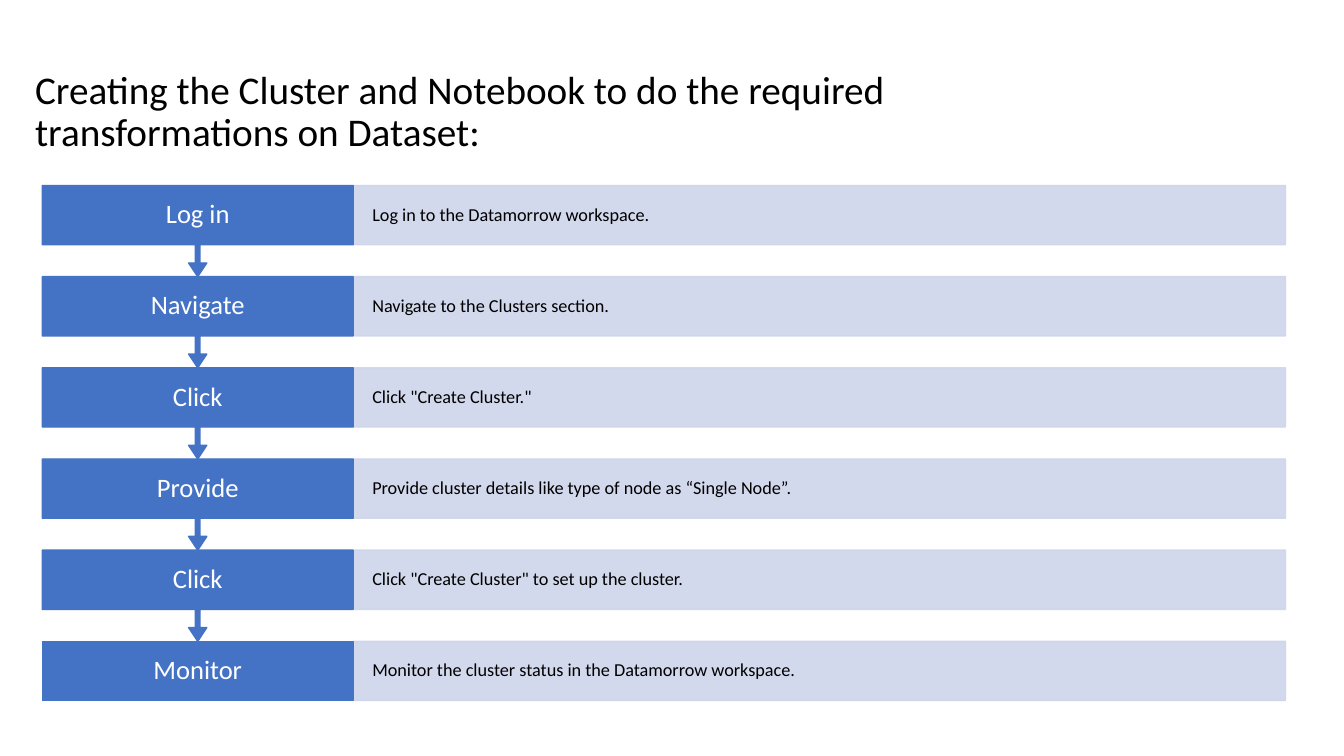
"""Build a slide with a vertical flow of cluster setup steps."""
from lxml.etree import SubElement
from pptx import Presentation
from pptx.dml.color import RGBColor
from pptx.enum.shapes import MSO_SHAPE
from pptx.enum.text import MSO_ANCHOR, PP_ALIGN
from pptx.oxml.ns import qn
from pptx.util import Inches, Pt

BLUE = RGBColor(0x44, 0x72, 0xC4)
PALE = RGBColor(0xCF, 0xD5, 0xEA)
WHITE = RGBColor(0xFF, 0xFF, 0xFF)
BLACK = RGBColor(0x00, 0x00, 0x00)
FONT = "Calibri"

TITLE = "Creating the Cluster and Notebook to do the required transformations on Dataset:"
STEPS = [
    ("Log in", "Log in to the Datamorrow workspace."),
    ("Navigate", "Navigate to the Clusters section."),
    ("Click", 'Click "Create Cluster."'),
    ("Provide", "Provide cluster details like type of node as “Single Node”."),
    ("Click", 'Click "Create Cluster" to set up the cluster.'),
    ("Monitor", "Monitor the cluster status in the Datamorrow workspace."),
]
LABEL_SHARE = 0.25
BODY_SHARE = 0.65
CALLOUT_ADJUSTMENTS = (0.05, 0.1, 0.15, BODY_SHARE)


def write(shape, text, size, color, align, anchor, insets):
    """Put one styled paragraph in a shape, with insets left, top, right, bottom."""
    frame = shape.text_frame
    frame.word_wrap = True
    frame.vertical_anchor = anchor
    (frame.margin_left, frame.margin_top,
     frame.margin_right, frame.margin_bottom) = map(Inches, insets)
    paragraph = frame.paragraphs[0]
    paragraph.text = text
    paragraph.alignment = align
    paragraph.line_spacing = 0.9
    paragraph.font.name = FONT
    paragraph.font.size = Pt(size)
    paragraph.font.color.rgb = color


def paint(shape, color, opacity=100):
    """Give a shape the same colour and opacity for its fill and line."""
    shape.shadow.inherit = False
    shape.fill.solid()
    shape.fill.fore_color.rgb = color
    shape.line.color.rgb = color
    shape.line.width = Pt(1)
    if opacity < 100:
        for rgb in shape._element.spPr.iter(qn("a:srgbClr")):
            SubElement(rgb, qn("a:alpha")).set("val", str(opacity * 1000))


def add_title(slide, left, top, width, height):
    """Place the heading, bottom-aligned in its box."""
    heading = slide.shapes.add_textbox(*map(Inches, (left, top, width, height)))
    write(heading, TITLE, 28, BLACK, PP_ALIGN.LEFT, MSO_ANCHOR.BOTTOM,
          (0.1, 0.05, 0.1, 0.05))


def add_step(slide, step, left, top, width, pitch, is_last):
    """Place one step: a label that points down to the next, and its description."""
    label_text, description_text = step
    label_width = width * LABEL_SHARE
    body_height = pitch * BODY_SHARE
    description = slide.shapes.add_shape(
        MSO_SHAPE.RECTANGLE, Inches(left + label_width), Inches(top),
        Inches(width - label_width), Inches(body_height))
    paint(description, PALE, 90)
    write(description, description_text, 13, BLACK, PP_ALIGN.LEFT,
          MSO_ANCHOR.MIDDLE, (0.19, 0.18, 0.19, 0.18))

    label = slide.shapes.add_shape(
        MSO_SHAPE.RECTANGLE if is_last else MSO_SHAPE.DOWN_ARROW_CALLOUT,
        Inches(left), Inches(top), Inches(label_width),
        Inches(body_height if is_last else pitch))
    if not is_last:
        for index, value in enumerate(CALLOUT_ADJUSTMENTS):
            label.adjustments[index] = value
    paint(label, BLUE)
    write(label, label_text, 19, WHITE, PP_ALIGN.CENTER,
          MSO_ANCHOR.MIDDLE, (0.22, 0.15, 0.22, 0.15))


def add_flow(slide, left, top, width, height):
    """Stack the steps at an equal pitch that fills the box."""
    last = len(STEPS) - 1
    pitch = height / (last + BODY_SHARE)
    for row, step in enumerate(STEPS):
        add_step(slide, step, left, top + row * pitch, width, pitch, row == last)


def main():
    """Build and save the slide."""
    deck = Presentation()
    deck.slide_width = Inches(13.33)
    deck.slide_height = Inches(7.5)
    slide = deck.slides.add_slide(deck.slide_layouts[6])
    add_title(slide, 0.25, 0.35, 10.67, 1.24)
    add_flow(slide, 0.42, 1.84, 12.33, 5.11)
    deck.save("out.pptx")


if __name__ == "__main__":
    main()
